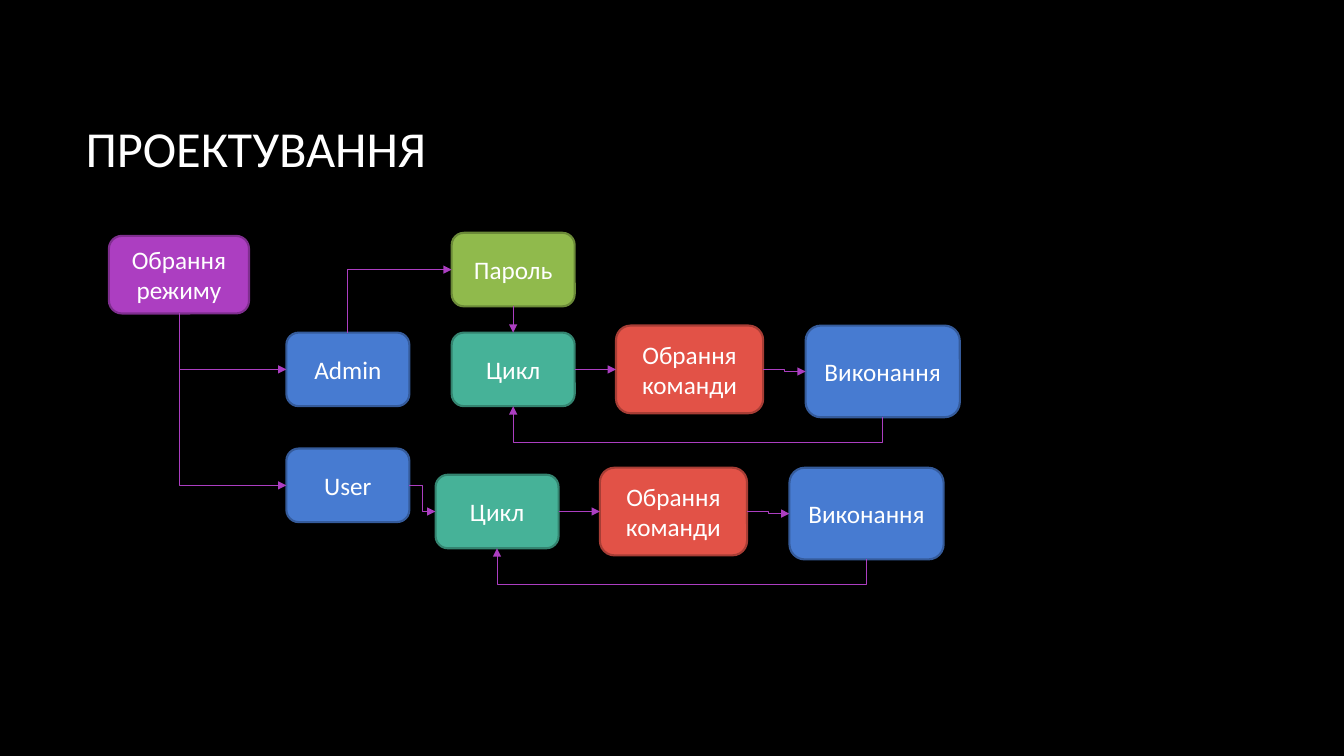
from dataclasses import dataclass

from lxml.etree import SubElement
from pptx import Presentation
from pptx.dml.color import RGBColor
from pptx.enum.shapes import MSO_CONNECTOR as CONN, MSO_SHAPE as SHAPE
from pptx.enum.text import MSO_ANCHOR as ANCHOR, PP_ALIGN as ALIGN
from pptx.oxml.ns import qn
from pptx.util import Inches, Pt


@dataclass(frozen=True)
class Theme:
    font: str = "Calibri"
    title_size: int = 36
    node_size: int = 18
    outline: float = 1.5
    arrow: float = 0.75
    back: str = "000000"
    text: str = "FFFFFF"
    # Fill and outline pairs
    purple: tuple = ("AC3EC1", "7F2E8F")
    blue: tuple = ("477BD1", "355B9B")
    green: tuple = ("90BA4C", "6B8A38")
    teal: tuple = ("46B298", "348470")
    red: tuple = ("E25247", "A73D35")


THEME = Theme()
NODE = (1.22, 0.73)
COMMAND = (1.46, 0.87)
RUN = (1.53, 0.91)
TOP, LEFT, BOTTOM, RIGHT = range(4)  # connection sites of a box
LOOP_DROP = Inches(0.25)


def rgb(code):
    return RGBColor.from_string(code)


def write(sp, text, size, align):
    tf = sp.text_frame
    tf.word_wrap = True
    tf.vertical_anchor = ANCHOR.MIDDLE
    p = tf.paragraphs[0]
    p.text = text
    p.alignment = align
    p.font.name = THEME.font
    p.font.size = Pt(size)
    p.font.color.rgb = rgb(THEME.text)


def add_title(s, text, box):
    sp = s.shapes.add_textbox(*map(Inches, box))
    write(sp, text, THEME.title_size, ALIGN.LEFT)


def add_node(s, text, x, y, size, colours):
    sp = s.shapes.add_shape(SHAPE.ROUNDED_RECTANGLE, *map(Inches, (x, y, *size)))
    fill, line = colours
    sp.shadow.inherit = False
    sp.fill.solid()
    sp.fill.fore_color.rgb = rgb(fill)
    sp.line.color.rgb = rgb(line)
    sp.line.width = Pt(THEME.outline)
    write(sp, text, THEME.node_size, ALIGN.CENTER)
    return sp


def add_arrow(s, start, start_site, end, end_site, kind=CONN.ELBOW):
    c = s.shapes.add_connector(kind, 0, 0, 0, 0)
    c.begin_connect(start, start_site)
    c.end_connect(end, end_site)
    c.line.color.rgb = rgb(THEME.purple[0])
    c.line.width = Pt(THEME.arrow)
    SubElement(c.line._get_or_add_ln(), qn("a:tailEnd"), type="triangle")
    SubElement(c._element.spPr, qn("a:effectLst"))
    return c


def turn(c, preset, degrees, flip_v=False, adjust=None):
    """Turn an elbow so that it leaves its start vertically."""
    x, y, w, h = c.left, c.top, c.width, c.height
    c.left, c.top = x + (w - h) // 2, y + (h - w) // 2
    c.width, c.height = h, w
    xfrm = c._element.spPr.find(qn("a:xfrm"))
    xfrm.set("rot", str(degrees * 60000))
    xfrm.set("flipH", "1")
    xfrm.set("flipV", str(int(flip_v)))
    geom = c._element.spPr.find(qn("a:prstGeom"))
    geom.set("prst", preset)
    if adjust is not None:
        guides = geom.find(qn("a:avLst"))
        SubElement(guides, qn("a:gd"), name="adj1", fmla=f"val {adjust}")


def add_lane(s, x, y):
    """Loop, command choice and execution, with the way back; returns the loop."""
    loop = add_node(s, "Цикл", x, y, NODE, THEME.teal)
    command = add_node(s, "Обрання команди", x + 1.63, y - 0.07, COMMAND, THEME.red)
    run = add_node(s, "Виконання", x + 3.51, y - 0.07, RUN, THEME.blue)
    add_arrow(s, loop, RIGHT, command, LEFT, CONN.STRAIGHT)
    add_arrow(s, command, RIGHT, run, LEFT)
    back = add_arrow(s, run, BOTTOM, loop, BOTTOM)
    turn(back, "bentConnector3", 90, adjust=-LOOP_DROP * 100000 // back.height)
    return loop


def add_flow(s, x, y):
    # Mode choice and the two roles
    mode = add_node(s, "Обрання режиму", x, y, (1.39, 0.77), THEME.purple)
    admin, user = (add_node(s, text, x + 1.76, y + dy, NODE, THEME.blue)
                   for text, dy in (("Admin", 0.96), ("User", 2.11)))
    for role in (admin, user):
        turn(add_arrow(s, mode, BOTTOM, role, LEFT), "bentConnector2", 270)

    # Admin: password first, then the loop
    password = add_node(s, "Пароль", x + 3.4, y - 0.03, NODE, THEME.green)
    turn(add_arrow(s, admin, TOP, password, LEFT), "bentConnector2", 90, flip_v=True)
    admin_loop = add_lane(s, x + 3.4, y + 0.96)
    add_arrow(s, password, BOTTOM, admin_loop, TOP, CONN.STRAIGHT)

    # User: straight to the loop
    user_loop = add_lane(s, x + 3.24, y + 2.37)
    add_arrow(s, user, RIGHT, user_loop, LEFT)


def main():
    prs = Presentation()
    prs.slide_width, prs.slide_height = Inches(13.33), Inches(7.5)
    s = prs.slides.add_slide(prs.slide_layouts[6])
    s.background.fill.solid()
    s.background.fill.fore_color.rgb = rgb(THEME.back)
    add_title(s, "ПРОЕКТУВАННЯ", (0.75, 0.67, 11.08, 1.59))
    add_flow(s, 1.08, 2.34)
    prs.save("out.pptx")


if __name__ == "__main__":
    main()
